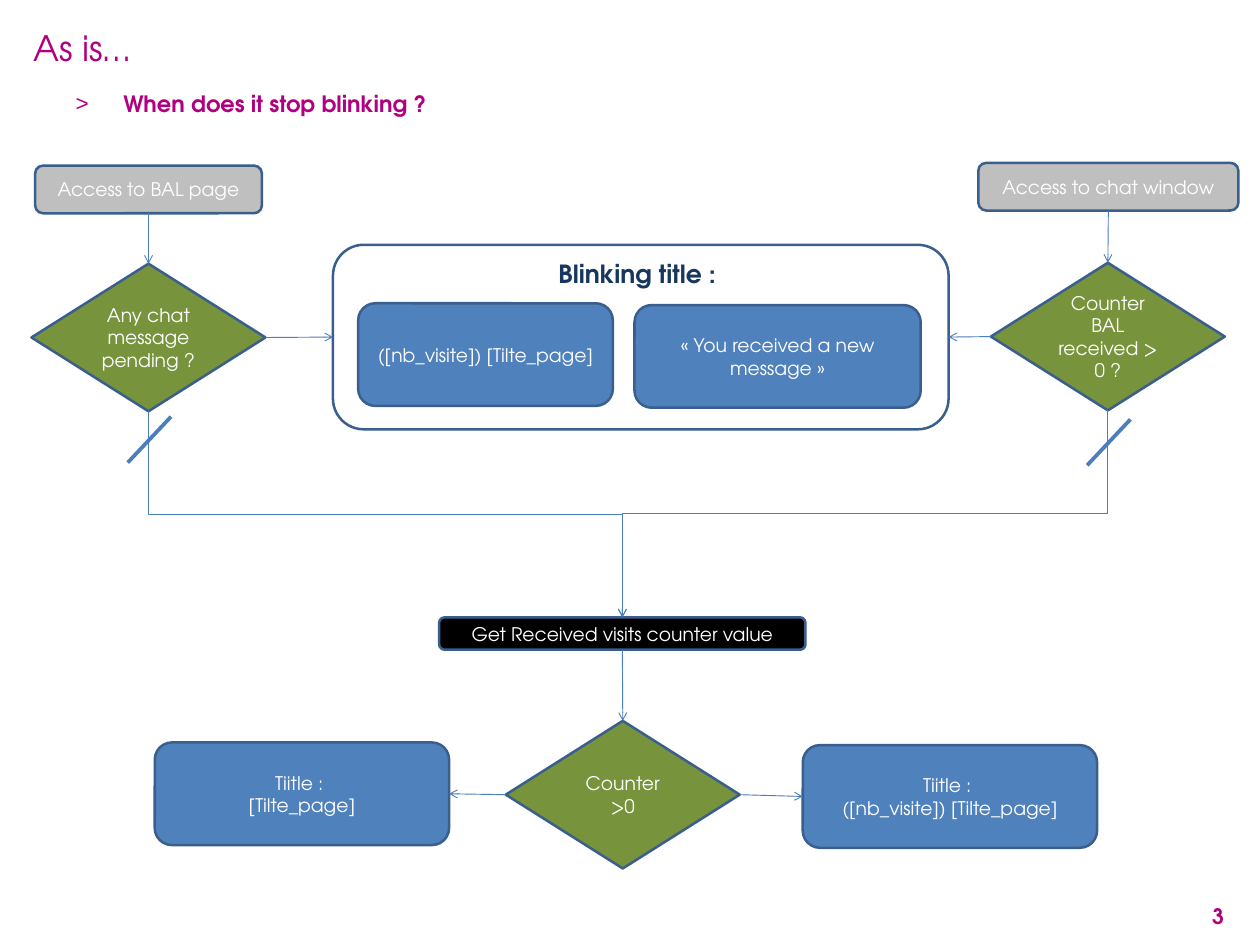
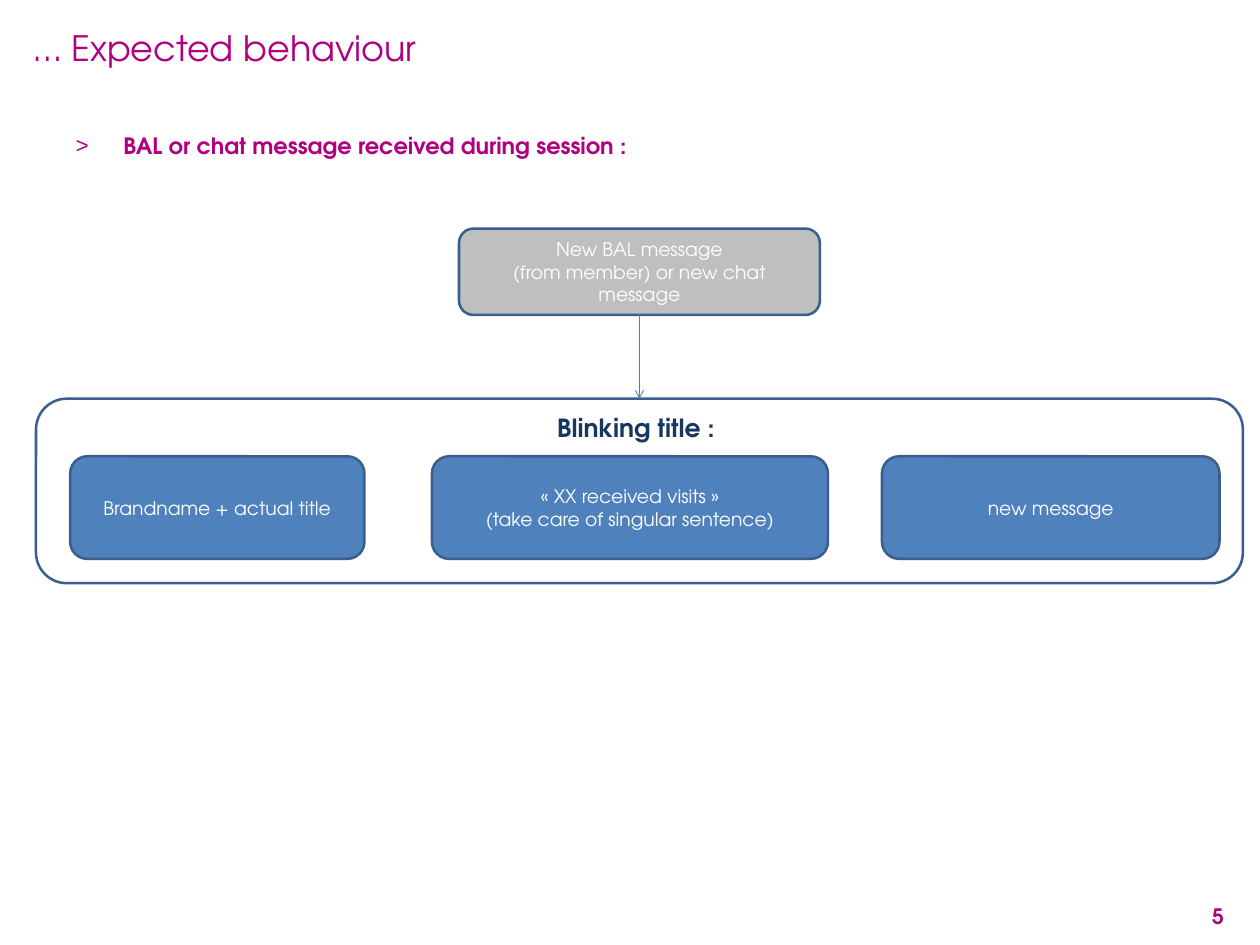
"""Build two flowchart slides about a blinking page title."""
from lxml.etree import SubElement
from pptx import Presentation
from pptx.dml.color import RGBColor
from pptx.enum.shapes import MSO_CONNECTOR, MSO_SHAPE
from pptx.enum.text import MSO_ANCHOR, PP_ALIGN
from pptx.oxml.ns import qn
from pptx.util import Inches, Pt

COLORS = {
    "brand": "B0007F",
    "border": "3A5F8C",
    "arrow": "4B7EBC",
    "event": "BFBFBF",
    "decision": "77933C",
    "result": "4F81BD",
    "action": "000000",
    "heading": "17375E",
    "white": "FFFFFF",
}
FONT = "TeX Gyre Adventor"
TOP, LEFT, BOTTOM, RIGHT = range(4)
DECISION_SIZE = (2.6, 1.64)
RESULT_HEIGHT = 1.14
FRAME_HEIGHT = 2.05


def color(name):
    """Return the named colour."""
    return RGBColor.from_string(COLORS[name])


def write_text(shape, text, size=15, fill="white", bold=False,
               align=PP_ALIGN.CENTER, anchor=MSO_ANCHOR.MIDDLE, insets=(0.1, 0.05)):
    """Fill a shape with formatted text, one paragraph for each line."""
    frame = shape.text_frame
    frame.word_wrap = True
    frame.vertical_anchor = anchor
    frame.margin_left = frame.margin_right = Inches(insets[0])
    frame.margin_top = frame.margin_bottom = Inches(insets[1])
    frame.text = text
    for paragraph in frame.paragraphs:
        paragraph.alignment = align
        for run in paragraph.runs:
            run.font.name = FONT
            run.font.size = Pt(size)
            run.font.bold = bold
            run.font.color.rgb = color(fill)


class FlowDeck:
    """Hold the shared style and the current slide."""

    def __init__(self):
        """Start a presentation of 14 by 10.5 inches."""
        self.presentation = Presentation()
        self.presentation.slide_width = Inches(14)
        self.presentation.slide_height = Inches(10.5)
        self.slide = None

    def new_slide(self, title, number):
        """Add a slide with its title and page number."""
        self.slide = self.presentation.slides.add_slide(self.presentation.slide_layouts[6])
        self.label(title, 0.23, 0.23, 12.48, 0.59, size=28, anchor=MSO_ANCHOR.MIDDLE)
        self.label(number, 10.47, 9.97, 3.27, 0.56, size=17, bold=True, align=PP_ALIGN.RIGHT)

    def label(self, text, left, top, width, height, **text_format):
        """Add a text box in the brand colour."""
        box = self.slide.shapes.add_textbox(
            Inches(left), Inches(top), Inches(width), Inches(height))
        style = {"fill": "brand", "align": PP_ALIGN.LEFT,
                 "anchor": MSO_ANCHOR.TOP, "insets": (0.14, 0.07)}
        write_text(box, text, **{**style, **text_format})
        return box

    def bullet(self, text, left, top, width, height):
        """Add a bold subtitle with a hanging arrow bullet."""
        box = self.label(text, left, top, width, height, size=18, bold=True)
        paragraph = box.text_frame.paragraphs[0]
        paragraph.space_before = Pt(3.6)
        properties = paragraph._p.get_or_add_pPr()
        properties.set("marL", str(Inches(0.53)))
        properties.set("indent", str(-Inches(0.53)))
        bullet_color = SubElement(properties, qn("a:buClr"))
        SubElement(bullet_color, qn("a:srgbClr"), val=COLORS["brand"])
        SubElement(properties, qn("a:buFont"), typeface="Arial")
        SubElement(properties, qn("a:buChar"), char=">")

    def node(self, kind, text, left, top, width, height,
             preset=MSO_SHAPE.ROUNDED_RECTANGLE, **text_format):
        """Add an outlined shape, unfilled when it has no kind."""
        shape = self.slide.shapes.add_shape(
            preset, Inches(left), Inches(top), Inches(width), Inches(height))
        shape.shadow.inherit = False
        if kind:
            shape.fill.solid()
            shape.fill.fore_color.rgb = color(kind)
        else:
            shape.fill.background()
        shape.line.color.rgb = color("border")
        shape.line.width = Pt(2)
        write_text(shape, text, **text_format)
        return shape

    def result(self, text, left, top, width=3.27):
        """Add a blue box for a page title."""
        return self.node("result", text, left, top, width, RESULT_HEIGHT)

    def decision(self, text, left, top):
        """Add a green diamond."""
        return self.node("decision", text, left, top, *DECISION_SIZE,
                         preset=MSO_SHAPE.FLOWCHART_DECISION)

    def frame(self, left, top, width):
        """Add the outline that groups the blinking titles."""
        return self.node(None, "Blinking title : ", left, top, width, FRAME_HEIGHT, size=20,
                         fill="heading", bold=True, anchor=MSO_ANCHOR.TOP)

    def line(self, start, end, width=3.0, kind=MSO_CONNECTOR.STRAIGHT):
        """Add a plain line between two points."""
        connector = self.slide.shapes.add_connector(kind, *map(Inches, start + end))
        connector.line.color.rgb = color("arrow")
        connector.line.width = Pt(width)
        SubElement(connector._element.spPr, qn("a:effectLst"))
        return connector

    def arrow(self, source, source_side, target, target_side, kind=MSO_CONNECTOR.STRAIGHT):
        """Join two shapes with an arrow."""
        connector = self.line((0, 0), (1, 1), 0.75, kind)
        connector.begin_connect(source, source_side)
        connector.end_connect(target, target_side)
        SubElement(connector.line._get_or_add_ln(), qn("a:tailEnd"), type="arrow")
        return connector

    def elbow_down(self, source, target):
        """Join two shapes with an arrow that runs down, across and down."""
        connector = self.arrow(source, BOTTOM, target, TOP, MSO_CONNECTOR.ELBOW)
        start_x, start_y = connector.begin_x, connector.begin_y
        end_x, end_y = connector.end_x, connector.end_y
        across, down = abs(end_x - start_x), end_y - start_y
        connector.left = (start_x + end_x - down) // 2
        connector.top = (start_y + end_y - across) // 2
        connector.width, connector.height = down, across
        rightward = end_x > start_x
        transform = connector._element.spPr.find(qn("a:xfrm"))
        transform.set("rot", str((270 if rightward else 90) * 60000))
        transform.set("flipH", "1" if rightward else "0")
        transform.set("flipV", "0")


def build_current_flow(deck):
    """Draw when the title stops blinking today."""
    deck.new_slide("As is…", "3")
    deck.bullet("When does it stop blinking ? ", 0.7, 0.93, 6.03, 0.58)
    page_access = deck.node("event", "Access to BAL page", 0.39, 1.84, 2.52, 0.53)
    chat_access = deck.node("event", "Access to chat window", 10.87, 1.81, 2.89, 0.53)
    pending = deck.decision("Any chat message pending ?", 0.35, 2.93)
    received = deck.decision("Counter BAL received > 0 ?", 11.01, 2.92)
    blinking = deck.frame(3.7, 2.72, 6.84)
    deck.result("([nb_visite]) [Tilte_page]", 3.98, 3.37, 2.83)
    deck.result("«\u00a0You received a new message\u00a0»", 7.05, 3.39, 3.18)
    visits = deck.node("action", "Get Received visits counter value", 4.88, 6.86, 4.07, 0.36)
    counter = deck.decision("Counter >0", 5.62, 8.01)
    plain_title = deck.result("Tiitle : \n[Tilte_page]", 1.72, 8.25)
    counted_title = deck.result("Tiitle : \n([nb_visite]) [Tilte_page]", 8.92, 8.28)
    for source, source_side, target, target_side in (
        (page_access, BOTTOM, pending, TOP),
        (chat_access, BOTTOM, received, TOP),
        (pending, RIGHT, blinking, LEFT),
        (received, LEFT, blinking, RIGHT),
        (visits, BOTTOM, counter, TOP),
        (counter, LEFT, plain_title, RIGHT),
        (counter, RIGHT, counted_title, LEFT),
    ):
        deck.arrow(source, source_side, target, target_side)
    for source in (pending, received):
        deck.elbow_down(source, visits)
    for left, top in ((1.42, 4.63), (12.08, 4.66)):
        deck.line((left + 0.48, top), (left, top + 0.51))


def build_expected_flow(deck):
    """Draw the expected blinking title."""
    deck.new_slide("… Expected behaviour", "5")
    deck.bullet("BAL or chat message received during session : ", 0.7, 1.4, 12.6, 3.28)
    message = deck.node("event", "New BAL message\n(from member) or new chat message",
                        5.1, 2.54, 4.01, 0.96)
    blinking = deck.frame(0.4, 4.43, 13.41)
    deck.arrow(message, BOTTOM, blinking, TOP)
    for text, left, width in (
        ("Brandname + actual title", 0.78, 3.27),
        ("«\u00a0XX received visits\u00a0»\n(take care of singular sentence)", 4.8, 4.4),
        ("new message", 9.8, 3.75),
    ):
        deck.result(text, left, 5.07, width)


def main():
    """Build and save the presentation."""
    deck = FlowDeck()
    build_current_flow(deck)
    build_expected_flow(deck)
    deck.presentation.save("out.pptx")


main()
